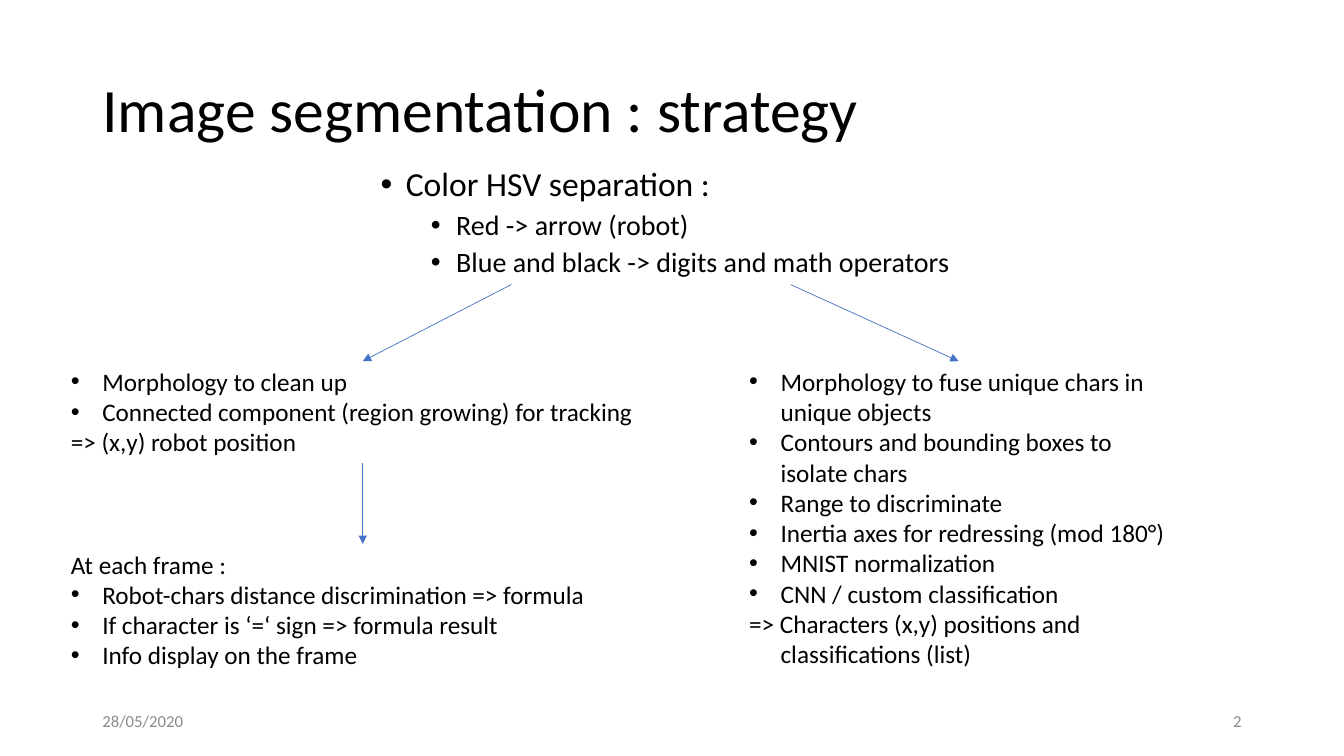
from lxml.etree import SubElement
from pptx import Presentation
from pptx.dml.color import RGBColor
from pptx.enum.shapes import MSO_CONNECTOR
from pptx.enum.text import MSO_ANCHOR, MSO_AUTO_SIZE, PP_ALIGN
from pptx.oxml.ns import qn
from pptx.util import Pt

PX = 9525


def px(*sizes):
    return [size * PX for size in sizes]


def color(code):
    return RGBColor.from_string(code)


class Board:
    """Holds the style and the current slide, and draws each kind of element."""

    font, ink, gray, blue = "Calibri", "000000", "8C8C8C", "4472C4"

    def __init__(self, deck):
        self.slide = deck.slides.add_slide(deck.slide_layouts[5])

    def style(self, para, size, ink, align=PP_ALIGN.LEFT):
        para.alignment = align
        para.font.name = self.font
        para.font.size = Pt(size)
        para.font.color.rgb = color(ink)

    def title(self, text, *area):
        head = self.slide.shapes.title
        head.left, head.top, head.width, head.height = px(*area)
        frame = head.text_frame
        frame.text = text
        frame.word_wrap = True
        frame.auto_size = MSO_AUTO_SIZE.NONE
        frame.vertical_anchor = MSO_ANCHOR.MIDDLE
        frame.paragraphs[0].line_spacing = 0.9
        self.style(frame.paragraphs[0], 44, self.ink)

    def box(self, *area):
        shape = self.slide.shapes.add_textbox(*px(*area))
        shape.text_frame.word_wrap = True
        return shape

    def indent(self, para, left, hang, dot=True):
        props = para._p.get_or_add_pPr()
        props.set("marL", str(left * PX))
        props.set("indent", str(-hang * PX))
        if dot:
            SubElement(props, qn("a:buFont"), typeface="Arial")
            SubElement(props, qn("a:buChar"), char="•")

    def paras(self, shape, texts):
        frame = shape.text_frame
        for i, text in enumerate(texts):
            para = frame.paragraphs[0] if i == 0 else frame.add_paragraph()
            para.text = text
            yield para

    def outline(self, items, *area):
        shape = self.box(*area)
        paras = self.paras(shape, [text for level, text in items])
        for para, (level, text) in zip(paras, items):
            self.style(para, 28 - 4 * level, self.ink)
            para.line_spacing = 0.9
            para.space_before = Pt(5)
            self.indent(para, 24 + 48 * level, 24)

    def steps(self, lines, *area, plain=()):
        shape = self.box(*area)
        shape.text_frame.auto_size = MSO_AUTO_SIZE.SHAPE_TO_FIT_TEXT
        for para in self.paras(shape, lines):
            self.style(para, 18, self.ink)
            self.indent(para, 30, 30, para.text not in plain)
        return shape

    def footer(self, text, align, *area):
        shape = self.box(*area)
        shape.text_frame.vertical_anchor = MSO_ANCHOR.MIDDLE
        for para in self.paras(shape, [text]):
            self.style(para, 12, self.gray, align)

    def arrow(self, start, goal, source=None):
        end = goal.left + goal.width // 2, goal.top
        line = self.slide.shapes.add_connector(
            MSO_CONNECTOR.STRAIGHT, *px(*start), *end)
        if source is not None:
            line.begin_connect(source, 2)
        line.end_connect(goal, 0)
        line.line.color.rgb = color(self.blue)
        line.line.width = Pt(0.5)
        SubElement(line.line._get_or_add_ln(), qn("a:tailEnd"), type="triangle")
        SubElement(line._element.spPr, qn("a:effectLst"))


def main():
    deck = Presentation()
    deck.slide_width, deck.slide_height = px(1280, 720)
    board = Board(deck)

    board.title("Image segmentation : strategy", 88, 38, 1104, 139)
    board.outline([
        (1, "Color HSV separation :"),
        (2, "Red -> arrow (robot)"),
        (2, "Blue and black -> digits and math operators"),
    ], 305, 155, 670, 116)

    robot_end = "=> (x,y) robot position"
    robot = board.steps([
        "Morphology to clean up",
        "Connected component (region growing) for tracking",
        robot_end,
    ], 58, 344, 575, 97, plain=[robot_end])

    chars_end = "=> Characters (x,y) positions and \vclassifications (list)"
    chars = board.steps([
        "Morphology to fuse unique chars in unique objects",
        "Contours and bounding boxes to isolate chars",
        "Range to discriminate",
        "Inertia axes for redressing (mod 180°)",
        "MNIST normalization",
        "CNN / custom classification",
        chars_end,
    ], 704, 344, 418, 300, plain=[chars_end])

    frame_head = "At each frame :"
    frame = board.steps([
        frame_head,
        "Robot-chars distance discrimination => formula",
        "If character is ‘=‘ sign => formula result",
        "Info display on the frame",
    ], 58, 518, 575, 126, plain=[frame_head])

    board.arrow((487, 271), robot)
    board.arrow((753, 271), chars)
    board.arrow((345, 441), frame, robot)

    board.footer("28/05/2020", PP_ALIGN.LEFT, 88, 667, 288, 38)
    board.footer("2", PP_ALIGN.RIGHT, 904, 667, 288, 38)
    deck.save("out.pptx")


if __name__ == "__main__":
    main()
